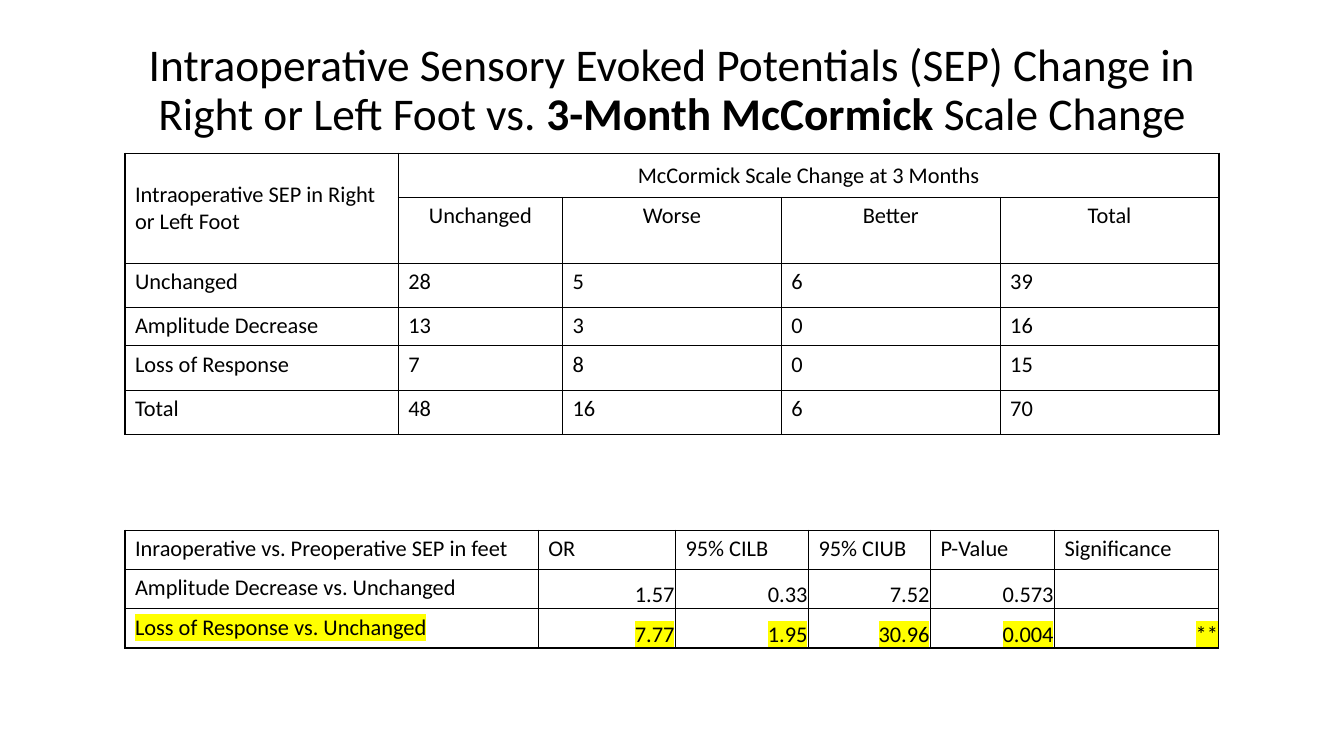
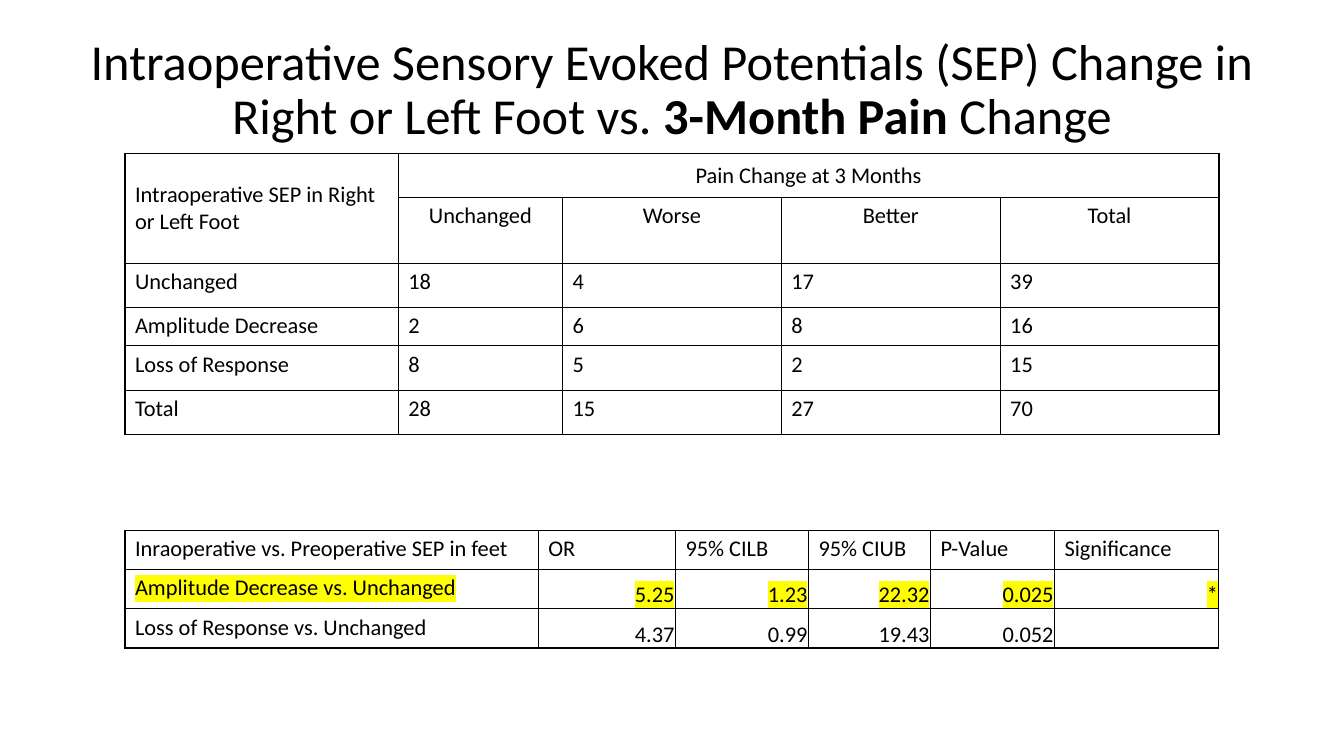
from dataclasses import dataclass

from lxml.etree import SubElement
from pptx import Presentation
from pptx.dml.color import RGBColor as RGB
from pptx.enum.text import MSO_ANCHOR as ANCHOR, PP_ALIGN as ALIGN
from pptx.oxml import parse_xml
from pptx.oxml.ns import nsdecls, qn
from pptx.util import Inches, Pt


@dataclass(frozen=True)
class Theme:
    font: str = "Calibri"
    ink: str = "000000"
    mark: str = "FFFF00"
    body: float = 16
    border: float = 1
    leading: float = 0.9


COUNT_COLS = [20.33, 12.23] + [16.28] * 3
COUNT_ROWS = [5.87, 8.67, 5.87, 5.07, 5.87, 5.87]
ODDS_COLS = [30.76, 10.2, 9.9, 9.08, 9.23, 12.23]
ODDS_ROWS = [5.2] * 3
TABLE_LEFT, COUNT_TOP, ODDS_TOP = 9.3, 20.27, 70.13
RESPONSES = ["Unchanged", "Amplitude Decrease", "Loss of Response"]
OUTCOMES = ["Unchanged", "Worse", "Better", "Total"]
ODDS_HEAD = ["Inraoperative vs. Preoperative SEP in feet", "OR", "95% CILB",
             "95% CIUB", "P-Value", "Significance"]
TITLE_LEAD = ("Intraoperative Sensory Evoked Potentials (SEP) Change in "
              "Right or Left Foot vs. ")


class Deck:
    def __init__(self, theme):
        self.theme = theme
        self.prs = Presentation()
        self.prs.slide_width, self.prs.slide_height = Inches(13.33), Inches(7.5)
        self.s = None

    def x(self, percent):
        return round(self.prs.slide_width * percent / 100)

    def y(self, percent):
        return round(self.prs.slide_height * percent / 100)

    def new_slide(self):
        self.s = self.prs.slides.add_slide(self.prs.slide_layouts[6])

    def style(self, p, size, align):
        p.alignment = align
        p.font.name = self.theme.font
        p.font.size = Pt(size)
        p.font.color.rgb = RGB.from_string(self.theme.ink)

    def title(self, width, size, bold, tail):
        sp = self.s.shapes.add_textbox(self.x((100 - width) / 2), self.y(3.87),
                                       self.x(width), self.y(16.4))
        tf = sp.text_frame
        tf.word_wrap = True
        tf.vertical_anchor = ANCHOR.MIDDLE
        p = tf.paragraphs[0]
        p.line_spacing = self.theme.leading
        self.style(p, size, ALIGN.CENTER)
        for text in (TITLE_LEAD, bold, tail):
            r = p.add_run()
            r.text = text
            if text == bold:
                r.font.bold = True

    def table(self, top, cols, rows):
        frame = self.s.shapes.add_table(
            len(rows), len(cols), self.x(TABLE_LEFT), self.y(top),
            self.x(sum(cols)), self.y(sum(rows)))
        tbl = frame.table
        tbl.first_row = tbl.horz_banding = False
        for col, width in zip(tbl.columns, cols):
            col.width = self.x(width)
        for row, height in zip(tbl.rows, rows):
            row.height = self.y(height)
        for cell in tbl.iter_cells():
            cell.fill.background()
            self.borders(cell)
        return tbl

    def borders(self, cell):
        tc_pr = cell._tc.get_or_add_tcPr()
        for i, side in enumerate("LRTB"):
            tc_pr.insert(i, parse_xml(
                f'<a:ln{side} {nsdecls("a")} w="{Pt(self.theme.border)}">'
                f'<a:solidFill><a:srgbClr val="{self.theme.ink}"/></a:solidFill>'
                f'</a:ln{side}>'))

    def cell(self, cell, text, align=ALIGN.LEFT, anchor=ANCHOR.TOP, marked=False):
        cell.vertical_anchor = anchor
        p = cell.text_frame.paragraphs[0]
        self.style(p, self.theme.body, align)
        if text:
            r = p.add_run()
            r.text = text
            if marked:
                hl = SubElement(r._r.get_or_add_rPr(), qn("a:highlight"))
                SubElement(hl, qn("a:srgbClr"), val=self.theme.mark)

    def count_table(self, measure, counts):
        tbl = self.table(COUNT_TOP, COUNT_COLS, COUNT_ROWS)
        tbl.cell(0, 0).merge(tbl.cell(1, 0))
        tbl.cell(0, 1).merge(tbl.cell(0, len(OUTCOMES)))
        self.cell(tbl.cell(0, 0), "Intraoperative SEP in Right or Left Foot",
                  anchor=ANCHOR.MIDDLE)
        self.cell(tbl.cell(0, 1), f"{measure} Change at 3 Months",
                  ALIGN.CENTER, ANCHOR.MIDDLE)
        for j, outcome in enumerate(OUTCOMES, 1):
            self.cell(tbl.cell(1, j), outcome, ALIGN.CENTER)
        rows = counts + [[sum(col) for col in zip(*counts)]]
        for i, (label, row) in enumerate(zip(RESPONSES + ["Total"], rows), 2):
            for j, value in enumerate([label, *row, sum(row)]):
                self.cell(tbl.cell(i, j), str(value))

    def odds_table(self, odds):
        tbl = self.table(ODDS_TOP, ODDS_COLS, ODDS_ROWS)
        for j, head in enumerate(ODDS_HEAD):
            self.cell(tbl.cell(0, j), head)
        for i, (response, row) in enumerate(zip(RESPONSES[1:], odds), 1):
            marked = bool(row[-1])
            self.cell(tbl.cell(i, 0), f"{response} vs. {RESPONSES[0]}", marked=marked)
            for j, value in enumerate(row, 1):
                c = tbl.cell(i, j)
                c.margin_left = c.margin_right = c.margin_top = Inches(0.01)
                c.margin_bottom = 0
                self.cell(c, value, ALIGN.RIGHT, ANCHOR.BOTTOM, marked)


def main():
    deck = Deck(Theme())
    slides = [
        ((86.27, 32.4, "3-Month McCormick", " Scale Change"), "McCormick Scale",
         [[28, 5, 6], [13, 3, 0], [7, 8, 0]],
         [["1.57", "0.33", "7.52", "0.573", ""],
          ["7.77", "1.95", "30.96", "0.004", "**"]]),
        ((88.9, 36, "3-Month Pain ", "Change"), "Pain",
         [[18, 4, 17], [2, 6, 8], [8, 5, 2]],
         [["5.25", "1.23", "22.32", "0.025", "*"],
          ["4.37", "0.99", "19.43", "0.052", ""]]),
    ]
    for title, measure, counts, odds in slides:
        deck.new_slide()
        deck.title(*title)
        deck.count_table(measure, counts)
        deck.odds_table(odds)
    deck.prs.save("out.pptx")


if __name__ == "__main__":
    main()
